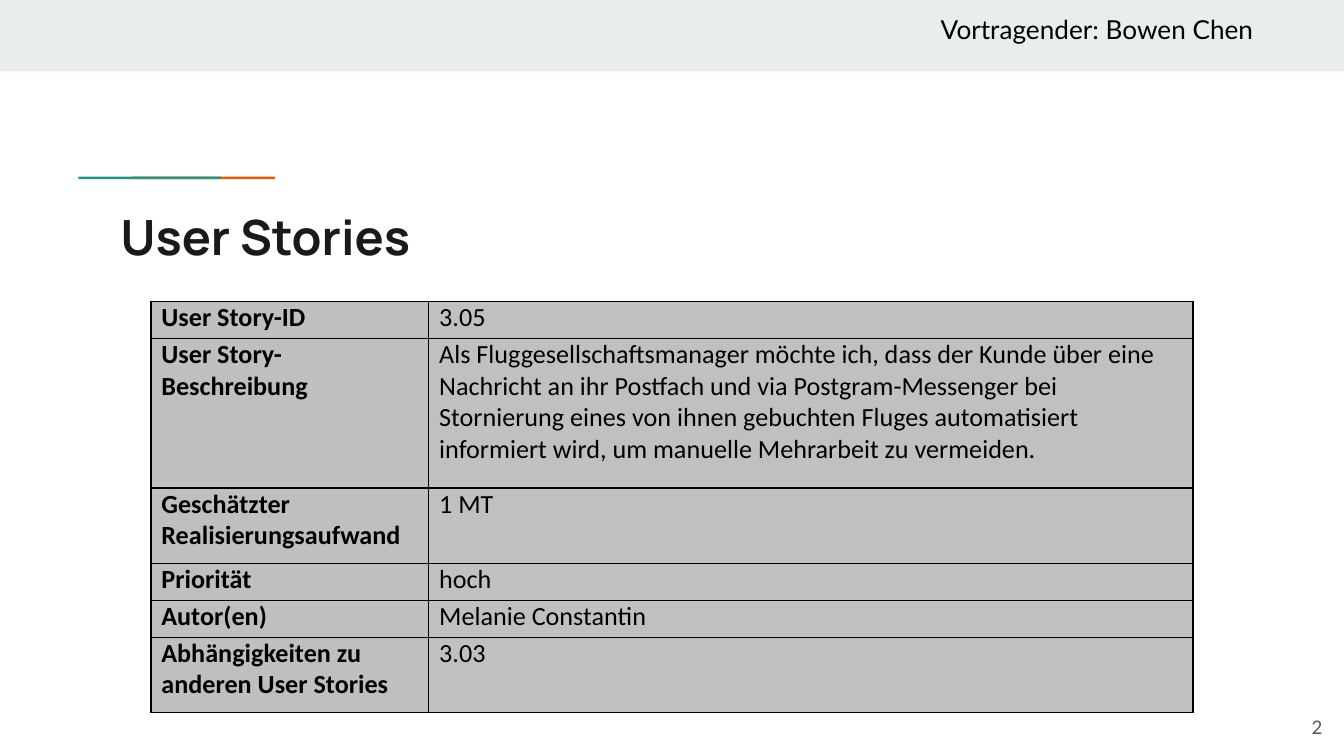
from dataclasses import dataclass
from typing import NamedTuple

from lxml.etree import SubElement
from pptx import Presentation
from pptx.dml.color import RGBColor
from pptx.enum.shapes import MSO_SHAPE
from pptx.enum.text import MSO_ANCHOR, PP_ALIGN
from pptx.oxml.ns import qn
from pptx.util import Cm, Pt


@dataclass(frozen=True)
class Theme:
    band: str = "E9EDEE"
    teal: str = "1A9988"
    orange: str = "EB5600"
    ink: str = "1A1A1A"
    black: str = "000000"
    grey: str = "595959"
    label: str = "BFBFBF"
    value: str = "C0C0C0"
    head: int = 26
    body: int = 14
    small: int = 10
    rule: int = 1


class Box(NamedTuple):
    left: float
    top: float
    width: float
    height: float

    def cm(self) -> list:
        return [Cm(side) for side in self]


class Bar(NamedTuple):
    box: Box
    color: str


class Note(NamedTuple):
    text: str
    box: Box
    font: dict
    color: str
    align: PP_ALIGN = PP_ALIGN.LEFT
    anchor: MSO_ANCHOR = MSO_ANCHOR.TOP


class Row(NamedTuple):
    label: str
    value: str
    height: float


THEME = Theme()

# Header band and the accent line: teal overlaps orange
BARS = [
    Bar(Box(0, 0, 25.4, 1.35), THEME.band),
    Bar(Box(2.5, 3.34, 2.7, 0.05), THEME.orange),
    Bar(Box(1.48, 3.34, 2.7, 0.05), THEME.teal),
]

# Title, page number and speaker
NOTES = [
    Note("User Stories", Box(2.03, 3.66, 21.36, 1.5),
         {"name": "Manrope", "size": Pt(THEME.head), "bold": True}, THEME.ink),
    Note("2", Box(23.72, 13.19, 1.52, 1.09),
         {"name": "Lato", "size": Pt(THEME.small)}, THEME.grey,
         PP_ALIGN.RIGHT, MSO_ANCHOR.MIDDLE),
    Note("Vortragender: Bowen Chen", Box(17.53, 0, 7.87, 1.37),
         {"name": "Lato", "size": Pt(THEME.body)}, THEME.black),
]

# Table content, with row heights for one, two and four lines
ONE, TWO, FOUR = 0.7, 1.42, 2.83
ROWS = [
    Row("User Story-ID", "3.05", ONE),
    Row("User Story-Beschreibung",
        "Als Fluggesellschaftsmanager möchte ich, dass der Kunde über eine "
        "Nachricht an ihr Postfach und via Postgram-Messenger bei "
        "Stornierung eines von ihnen gebuchten Fluges automatisiert "
        "informiert wird, um manuelle Mehrarbeit zu vermeiden.", FOUR),
    Row("Geschätzter Realisierungsaufwand", "1 MT", TWO),
    Row("Priorität", "hoch", ONE),
    Row("Autor(en)", "Melanie Constantin", ONE),
    Row("Abhängigkeiten zu anderen User Stories", "3.03", TWO),
]
COLS = [5.25, 14.45]


def apply(target, values: dict) -> None:
    for name, value in values.items():
        setattr(target, name, value)


def paint(fill, color: str) -> None:
    fill.solid()
    fill.fore_color.rgb = RGBColor.from_string(color)


def write(frame, text: str, font: dict, color: str) -> None:
    run = frame.paragraphs[0].add_run()
    run.text = text
    apply(run.font, font)
    run.font.color.rgb = RGBColor.from_string(color)


def draw_bar(slide, bar: Bar) -> None:
    shape = slide.shapes.add_shape(MSO_SHAPE.RECTANGLE, *bar.box.cm())
    shape.shadow.inherit = False
    shape.line.fill.background()
    paint(shape.fill, bar.color)


def draw_note(slide, note: Note) -> None:
    frame = slide.shapes.add_textbox(*note.box.cm()).text_frame
    sides = ("left", "top", "right", "bottom")
    apply(frame, {"word_wrap": True, "vertical_anchor": note.anchor}
          | {f"margin_{side}": Cm(0.25) for side in sides})
    frame.paragraphs[0].alignment = note.align
    write(frame, note.text, note.font, note.color)


def edge(cell) -> None:
    props = cell._tc.get_or_add_tcPr()
    for spot, side in enumerate(("lnL", "lnR", "lnT", "lnB")):
        line = props.makeelement(qn(f"a:{side}"), {"w": str(Pt(THEME.rule))})
        props.insert(spot, line)
        fill = SubElement(line, qn("a:solidFill"))
        SubElement(fill, qn("a:srgbClr"), val=THEME.black)


def draw_cell(cell, text: str, color: str, bold: bool) -> None:
    apply(cell, {"margin_left": Cm(0.2), "margin_right": Cm(0.2),
                 "margin_top": 0, "margin_bottom": 0})
    font = {"name": "Calibri", "size": Pt(THEME.body), "bold": bold}
    write(cell.text_frame, text, font, THEME.black)
    paint(cell.fill, color)
    edge(cell)


def draw_table(slide, rows: list[Row]) -> None:
    box = Box(2.85, 5.7, sum(COLS), sum(row.height for row in rows))
    table = slide.shapes.add_table(len(rows), len(COLS), *box.cm()).table
    apply(table, {"first_row": False, "horz_banding": False})
    for col, width in zip(table.columns, COLS):
        col.width = Cm(width)
    for spot, row in enumerate(rows):
        table.rows[spot].height = Cm(row.height)
        draw_cell(table.cell(spot, 0), row.label, THEME.label, True)
        draw_cell(table.cell(spot, 1), row.value, THEME.value, False)


def main() -> None:
    deck = Presentation()
    apply(deck, {"slide_width": Cm(25.4), "slide_height": Cm(14.29)})
    slide = deck.slides.add_slide(deck.slide_layouts[6])
    for bar in BARS:
        draw_bar(slide, bar)
    draw_table(slide, ROWS)
    for note in NOTES:
        draw_note(slide, note)
    deck.save("out.pptx")


if __name__ == "__main__":
    main()
